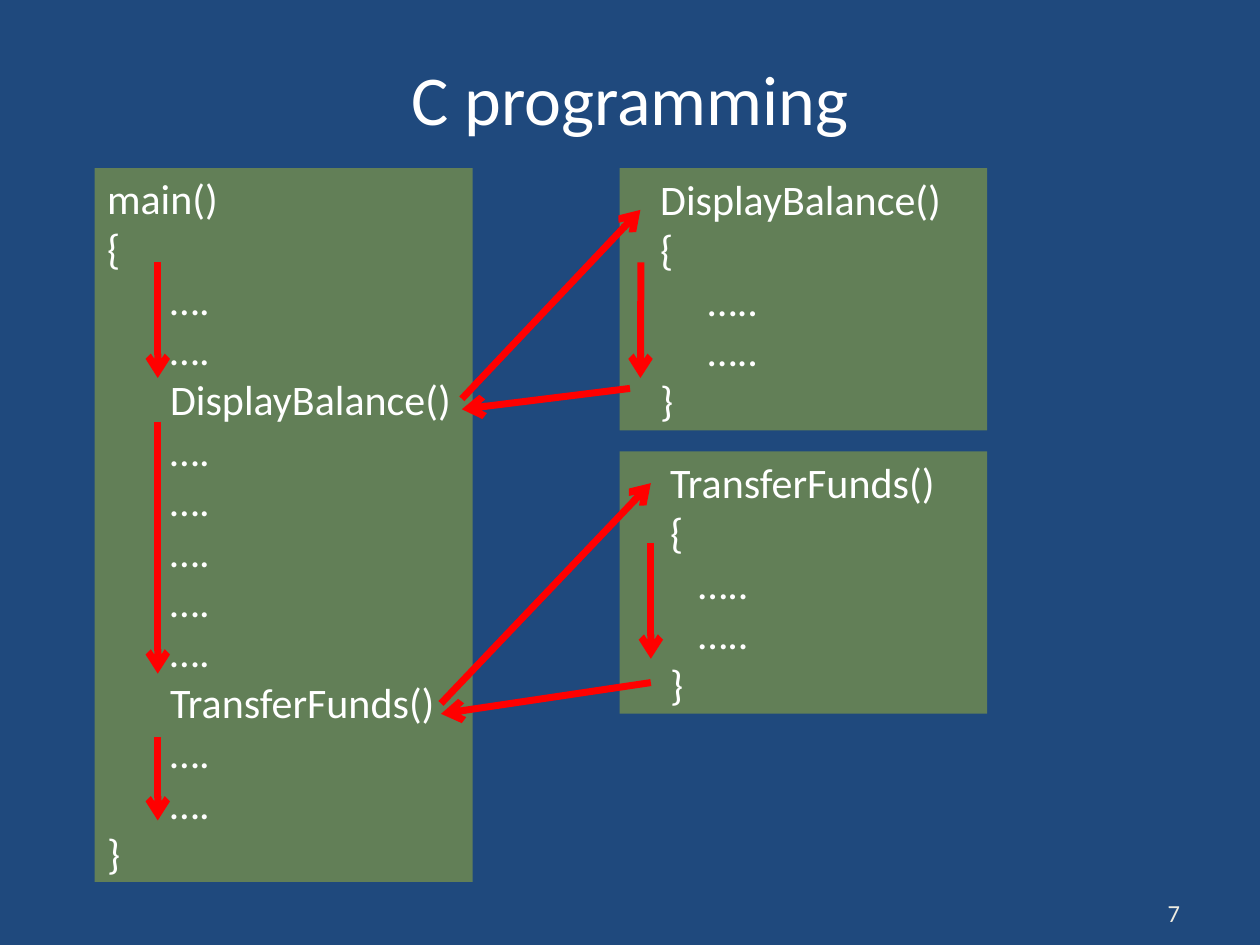
from lxml.etree import SubElement
from pptx import Presentation
from pptx.dml.color import RGBColor
from pptx.enum.shapes import MSO_CONNECTOR as Connector, MSO_SHAPE as Shape
from pptx.enum.text import MSO_ANCHOR as Anchor, PP_ALIGN as Align
from pptx.oxml.ns import qn
from pptx.util import Cm, Pt

COLOURS = {
    "background": "1F497D",
    "panel": "FFFF00",
    "text": "FFFFFF",
    "number": "EEECE1",
    "flow": "FF0000",
}


def colour(name):
    return RGBColor.from_string(COLOURS[name])


def write_lines(frame, lines, size, ink="text", align=Align.LEFT):
    for name, value in {"word_wrap": True, "vertical_anchor": Anchor.MIDDLE}.items():
        setattr(frame, name, value)
    for index, (text, indent) in enumerate(lines):
        paragraph = frame.paragraphs[0] if index == 0 else frame.add_paragraph()
        paragraph.alignment = align
        paragraph._p.get_or_add_pPr().set("marL", str(Cm(indent)))
        run = paragraph.add_run()
        run.text = text
        for name, value in {"name": "Calibri", "size": Pt(size)}.items():
            setattr(run.font, name, value)
        run.font.color.rgb = colour(ink)


deck = Presentation()
for name, value in {"slide_width": Cm(25.4), "slide_height": Cm(19.05)}.items():
    setattr(deck, name, value)
slide = deck.slides.add_slide(deck.slide_layouts[6])
slide.background.fill.solid()
slide.background.fill.fore_color.rgb = colour("background")

labels = [
    ("7", (23.29, 17.98, 1.7, 0.84), 14, "number", Align.LEFT),
    ("C programming", (1.27, 0.97, 22.86, 1.98), 40, "text", Align.CENTER),
]
for text, place, size, ink, align in labels:
    label = slide.shapes.add_textbox(*map(Cm, place))
    write_lines(label.text_frame, [(text, 0)], size, ink, align)

main_body = ["…."] * 2 + ["DisplayBalance()"] + ["…."] * 5 + ["TransferFunds()"] + ["…."] * 2
functions = [
    ("main()", main_body, 0, 1.27, (1.91, 3.39, 7.62, 14.39)),
    ("DisplayBalance()", ["….."] * 2, 0.57, 1.53, (12.49, 3.39, 7.41, 5.29)),
    ("TransferFunds()", ["….."] * 2, 0.77, 1.34, (12.49, 9.1, 7.41, 5.29)),
]
for heading, body, outer, inner, place in functions:
    panel = slide.shapes.add_shape(Shape.RECTANGLE, *map(Cm, place))
    panel.shadow.inherit = False
    panel.fill.solid()
    panel.fill.fore_color.rgb = colour("panel")
    tint = panel.fill._xPr.find(qn("a:solidFill"))[0]
    SubElement(tint, qn("a:alpha"), val="30000")
    panel.line.fill.background()
    lines = [(heading, outer), ("{", outer)]
    lines += [(statement, inner) for statement in body]
    write_lines(panel.text_frame, lines + [("}", outer)], 24)

flows = [
    (3.18, 5.29, 3.18, 7.62),
    (9.31, 8.04, 12.91, 4.23),
    (12.92, 5.29, 12.91, 7.62),
    (12.7, 7.83, 9.31, 8.25),
    (3.18, 8.5, 3.18, 13.58),
    (8.89, 14.18, 13.12, 9.74),
    (13.12, 10.95, 13.12, 13.28),
    (13.12, 13.76, 8.89, 14.39),
    (3.18, 14.86, 3.18, 16.54),
]
for ends in flows:
    arrow = slide.shapes.add_connector(Connector.STRAIGHT, *map(Cm, ends))
    arrow.line.width = Pt(4)
    arrow.line.color.rgb = colour("flow")
    SubElement(arrow.line._get_or_add_ln(), qn("a:tailEnd"), type="arrow")
    SubElement(arrow._element.spPr, qn("a:effectLst"))

deck.save("out.pptx")
